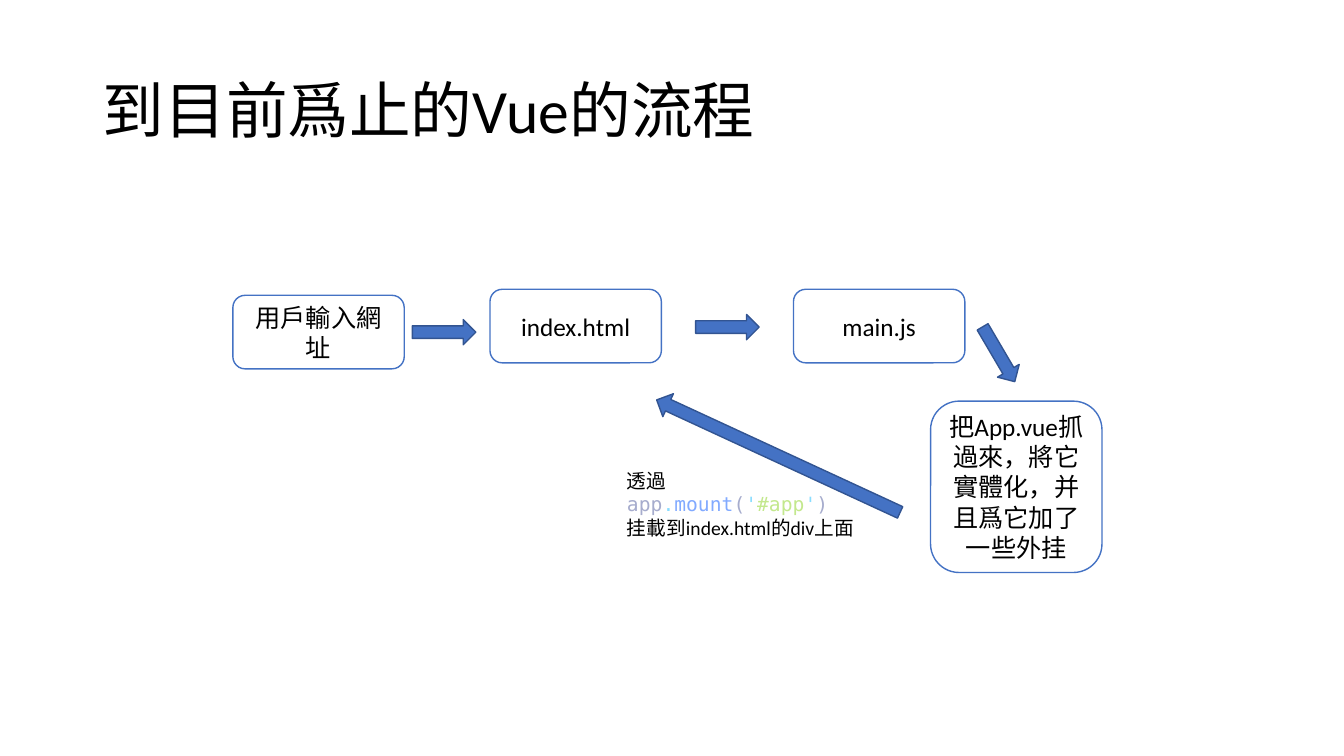
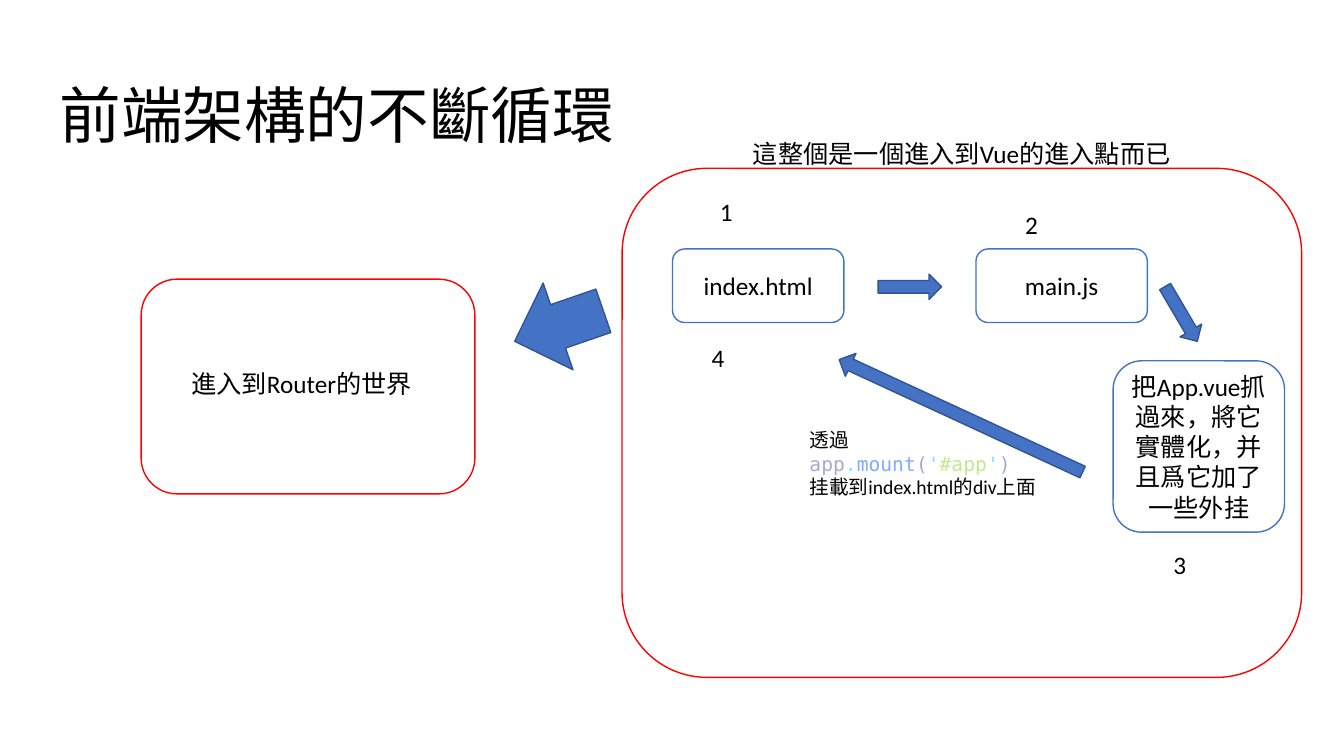
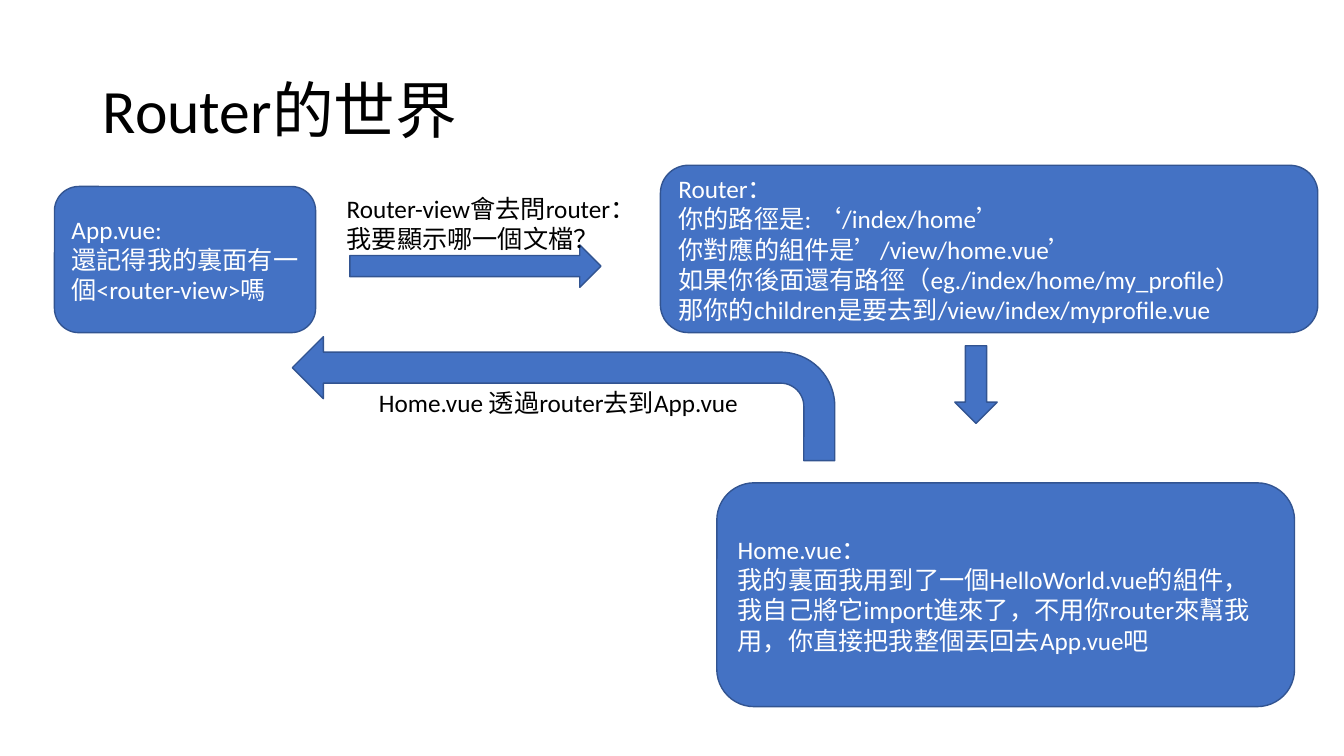
from dataclasses import dataclass
from typing import Optional

from pptx import Presentation
from pptx.dml.color import RGBColor as RGB
from pptx.enum.shapes import MSO_SHAPE as Form
from pptx.enum.text import MSO_ANCHOR as Anchor, MSO_AUTO_SIZE as Fit, PP_ALIGN as Align
from pptx.shapes.autoshape import Shape
from pptx.slide import Slide
from pptx.text.text import TextFrame
from pptx.util import Inches, Pt

# Grid: square cells, ten to the inch
CELL = Inches(0.1)
WIDE, HIGH = Inches(13.33), Inches(7.5)

# Colours and fonts
BLACK = RGB(0x00, 0x00, 0x00)
WHITE = RGB(0xFF, 0xFF, 0xFF)
BLUE = RGB(0x44, 0x72, 0xC4)
NAVY = RGB(0x32, 0x54, 0x91)
RED = RGB(0xFF, 0x00, 0x00)
GREY = RGB(0xA6, 0xAC, 0xCD)
CYAN = RGB(0x89, 0xDD, 0xFF)
SKY = RGB(0x82, 0xAA, 0xFF)
LIME = RGB(0xC3, 0xE8, 0x8D)
SANS, MONO = "Calibri", "DejaVu Sans Mono"

Area = tuple[float, float, float, float]  # column, row, columns, rows


@dataclass(frozen=True)
class Look:
    fill: Optional[RGB]
    line: RGB
    ink: RGB = BLACK
    align: Align = Align.CENTER


STEP = Look(WHITE, BLUE)
SOLID = Look(BLUE, NAVY, WHITE, Align.LEFT)
FRAME = Look(None, RED)


@dataclass(frozen=True)
class Block:
    area: Area
    text: str = ""
    look: Look = STEP
    form: Form = Form.ROUNDED_RECTANGLE
    turn: float = 0
    flip: bool = False


@dataclass(frozen=True)
class Note:
    area: Area
    text: str


def arrow(area: Area, turn: float = 0, form: Form = Form.RIGHT_ARROW,
          flip: bool = False) -> Block:
    return Block(area, "", SOLID, form, turn, flip)


def span(area: Area, dx: float = 0, dy: float = 0) -> list[int]:
    x, y, w, h = area
    return [round(n * CELL) for n in (x + dx, y + dy, w, h)]


def style(frame: TextFrame, size: float, ink: RGB, align: Align = Align.LEFT) -> None:
    for para in frame.paragraphs:
        para.alignment = align
        for run in para.runs:
            font = run.font
            font.name, font.size, font.color.rgb = SANS, Pt(size), ink


def head(slide: Slide, text: str, col: float, row: float) -> None:
    title = slide.shapes.title
    title.left, title.top, title.width, title.height = span((col, row, 115, 14.5))
    frame = title.text_frame
    frame.text = text
    frame.vertical_anchor = Anchor.MIDDLE
    frame.paragraphs[0].line_spacing = 0.9
    style(frame, 44, BLACK)


def block(slide: Slide, item: Block, dx: float, dy: float) -> None:
    shape = slide.shapes.add_shape(item.form, *span(item.area, dx, dy))
    shape.shadow.inherit = False
    shape.rotation = item.turn
    if item.flip:
        shape.element.spPr.xfrm.set("flipH", "1")
    look = item.look
    if look.fill is None:
        shape.fill.background()
    else:
        shape.fill.solid()
        shape.fill.fore_color.rgb = look.fill
    shape.line.color.rgb = look.line
    shape.line.width = Pt(1)
    if item.text:
        frame = shape.text_frame
        frame.text = item.text
        frame.vertical_anchor = Anchor.MIDDLE
        style(frame, 18, look.ink, look.align)


def note(slide: Slide, item: Note, dx: float = 0, dy: float = 0, size: float = 18) -> Shape:
    box = slide.shapes.add_textbox(*span(item.area, dx, dy))
    frame = box.text_frame
    frame.word_wrap = True
    frame.auto_size = Fit.SHAPE_TO_FIT_TEXT
    frame.text = item.text
    style(frame, size, BLACK)
    return box


def draw(slide: Slide, items: list[Block | Note], dx: float = 0, dy: float = 0) -> None:
    for item in items:
        if isinstance(item, Block):
            block(slide, item, dx, dy)
        else:
            note(slide, item, dx, dy)


# Start-up flow shared by the first two slides
FLOW = [
    Block((48.6, 28.7, 17, 7.3), "index.html"),
    arrow((69, 31.2, 6.3, 2.5)),
    Block((78.7, 28.7, 17, 7.3), "main.js"),
    arrow((95.9, 33.9, 6.3, 2.5), 59.6),
    Block((92.3, 39.8, 17, 17), "把App.vue抓過來，將它實體化，并且爲它加了一些外挂"),
    arrow((63.9, 44, 26.6, 2.5), 204.8),
]
MOUNT = Note((61.2, 46, 25.2, 8.1), "透過\n挂載到index.html的div上面")
CODE = [("app", GREY), (".", CYAN), ("mount", SKY), ("(", GREY),
        ("'", CYAN), ("#app", LIME), ("'", CYAN), (")", GREY)]


def flow(slide: Slide, dx: float = 0, dy: float = 0) -> None:
    draw(slide, FLOW, dx, dy)
    para = note(slide, MOUNT, dx, dy, 14).text_frame.paragraphs[0]
    for text, ink in CODE:
        run = para.add_run()
        run.text = text
        font = run.font
        font.name, font.size, font.color.rgb = MONO, Pt(14), ink


# Parts around the flow
USER = [
    Block((23.1, 29.3, 17, 7.3), "用戶輸入網址"),
    arrow((40.9, 31.7, 6.3, 2.5)),
]
CYCLE = [
    Note((70.4, 19, 8.9, 4), "1"),
    Note((100.7, 20.3, 8.9, 4), "2"),
    Note((115.4, 54, 12.9, 4), "3"),
    Note((69.6, 33.5, 12, 4), "4"),
    Block((61.7, 16.7, 67.4, 50.5), look=FRAME),
    Note((73.7, 13.2, 48.3, 4), "這整個是一個進入到Vue的進入點而已"),
    arrow((50.8, 27.8, 9.3, 9.1), 341, Form.LEFT_ARROW),
    Block((14, 27.7, 33.1, 21.3), look=FRAME),
    Note((18, 36.1, 31, 4), "進入到Router的世界"),
]

# Router round trip
ROUTER = [
    Block((5.4, 18.5, 25.9, 14.5),
          "App.vue:\n還記得我的裏面有一個<router-view>嗎", SOLID),
    arrow((34.7, 24.3, 24.9, 4.2)),
    Note((33.4, 18.7, 34.4, 7.1),
         "Router-view會去問router：\v我要顯示哪一個文檔？"),
    Block((65.5, 16.4, 65.2, 16.6),
          "Router：\v你的路徑是: ‘/index/home’\n"
          "你對應的組件是’/view/home.vue’\n"
          "如果你後面還有路徑（eg./index/home/my_profile）\n"
          "那你的children是要去到/view/index/myprofile.vue", SOLID),
    arrow((94.7, 34.3, 4.2, 7.7), form=Form.DOWN_ARROW),
    Block((71.1, 47.9, 57.3, 22.2),
          "Home.vue：\n我的裏面我用到了一個HelloWorld.vue的組件，"
          "我自己將它import進來了，不用你router來幫我用，"
          "你直接把我整個丟回去App.vue吧", SOLID),
    arrow((29, 33.4, 53.8, 12.3), form=Form.BENT_ARROW, flip=True),
    Note((36.6, 37.9, 41.1, 4), "Home.vue 透過router去到App.vue"),
]

deck = Presentation()
deck.slide_width, deck.slide_height = WIDE, HIGH
start, cycle, router = [deck.slides.add_slide(deck.slide_layouts[5]) for _ in range(3)]

# Slide 1: flow so far
head(start, "到目前爲止的Vue的流程", 9.2, 4)
draw(start, USER)
flow(start)

# Slide 2: the cycle
head(cycle, "前端架構的不斷循環", 4.9, 4.5)
flow(cycle, 18.1, -4)
draw(cycle, CYCLE)

# Slide 3: the router
head(router, "Router的世界", 9.2, 4)
draw(router, ROUTER)

deck.save("out.pptx")
